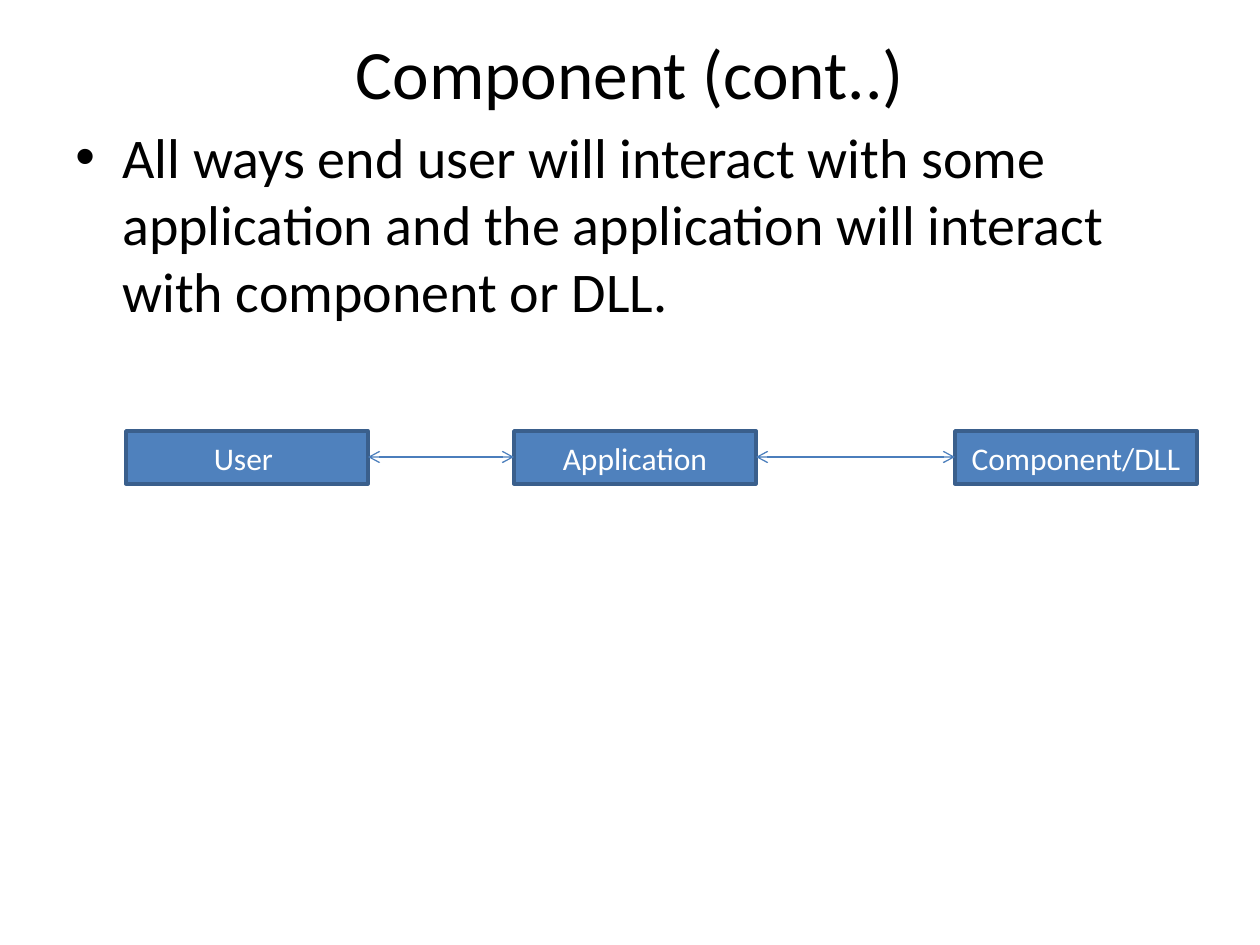
from dataclasses import dataclass
from itertools import pairwise

from lxml.etree import SubElement
from pptx import Presentation
from pptx.dml.color import RGBColor
from pptx.enum.shapes import MSO_CONNECTOR as CONN, MSO_SHAPE as SHAPE
from pptx.enum.text import MSO_ANCHOR as ANCHOR, PP_ALIGN as ALIGN
from pptx.oxml.ns import qn
from pptx.slide import Slide
from pptx.text.text import TextFrame, _Paragraph as Paragraph
from pptx.util import Pt

PX = 914400 / 126
FONT = "Calibri"
COLORS = {
    "text": "000000",
    "box": "4F81BD",
    "border": "3A5F8C",
    "label": "FFFFFF",
    "arrow": "4B7EBC",
}
BOX_TOP, BOX_W, BOX_H = 431, 242, 53
ARROW_Y = 457


@dataclass(frozen=True)
class Node:
    label: str
    left: int

    @property
    def right(self) -> int:
        return self.left + BOX_W


NODES = [Node("User ", 126), Node("Application", 514), Node("Component/DLL", 955)]


def emu(px: int) -> int:
    """Turn pixels into EMU."""
    return round(px * PX)


def rgb(name: str) -> RGBColor:
    """Look up a named colour."""
    return RGBColor.from_string(COLORS[name])


def write(tf: TextFrame, text: str, size: float, color: str,
          align: ALIGN, anchor: ANCHOR) -> Paragraph:
    """Fill a text frame with one run and return its paragraph."""
    tf.word_wrap = True
    tf.vertical_anchor = anchor
    p = tf.paragraphs[0]
    p.alignment = align
    r = p.add_run()
    r.text = text
    r.font.name, r.font.size = FONT, Pt(size)
    r.font.color.rgb = rgb(color)
    return p


def add_text(s: Slide, box: tuple[int, int, int, int], text: str, size: float,
             align: ALIGN, anchor: ANCHOR) -> Paragraph:
    """Add a text box and return its paragraph."""
    sp = s.shapes.add_textbox(*map(emu, box))
    return write(sp.text_frame, text, size, "text", align, anchor)


def add_bullet(p: Paragraph, indent: int) -> None:
    """Give a paragraph a hanging round bullet."""
    pPr = p._p.get_or_add_pPr()
    pPr.set("marL", str(emu(indent)))
    pPr.set("indent", str(-emu(indent)))
    SubElement(pPr, qn("a:buFont"), typeface="Arial")
    SubElement(pPr, qn("a:buChar"), char="•")


def add_node(s: Slide, node: Node) -> None:
    """Draw one labelled box."""
    sp = s.shapes.add_shape(
        SHAPE.RECTANGLE, *map(emu, (node.left, BOX_TOP, BOX_W, BOX_H)))
    sp.shadow.inherit = False
    sp.fill.solid()
    sp.fill.fore_color.rgb = rgb("box")
    sp.line.color.rgb = rgb("border")
    sp.line.width = Pt(2)
    write(sp.text_frame, node.label, 18, "label", ALIGN.CENTER, ANCHOR.MIDDLE)


def add_arrow(s: Slide, start: Node, end: Node) -> None:
    """Join two boxes with a double-headed arrow."""
    cx = s.shapes.add_connector(
        CONN.STRAIGHT, *map(emu, (start.right, ARROW_Y, end.left, ARROW_Y)))
    cx.line.color.rgb = rgb("arrow")
    cx.line.width = Pt(0.75)
    ln = cx.line._get_or_add_ln()
    for tag in ("a:headEnd", "a:tailEnd"):
        SubElement(ln, qn(tag), type="arrow")
    SubElement(cx._element.spPr, qn("a:effectLst"))


def main() -> None:
    """Build the slide and save it."""
    prs = Presentation()
    prs.slide_width, prs.slide_height = emu(1260), emu(945)
    s = prs.slides.add_slide(prs.slide_layouts[6])
    add_text(s, (63, 38, 1134, 67), "Component (cont..)", 39.6,
             ALIGN.CENTER, ANCHOR.MIDDLE)
    body = add_text(
        s, (63, 116, 1134, 728),
        "All ways end user will interact with some application and the "
        "application will interact with component or DLL.",
        32, ALIGN.LEFT, ANCHOR.TOP)
    add_bullet(body, 47)
    for node in NODES:
        add_node(s, node)
    for start, end in pairwise(NODES):
        add_arrow(s, start, end)
    prs.save("out.pptx")


if __name__ == "__main__":
    main()
